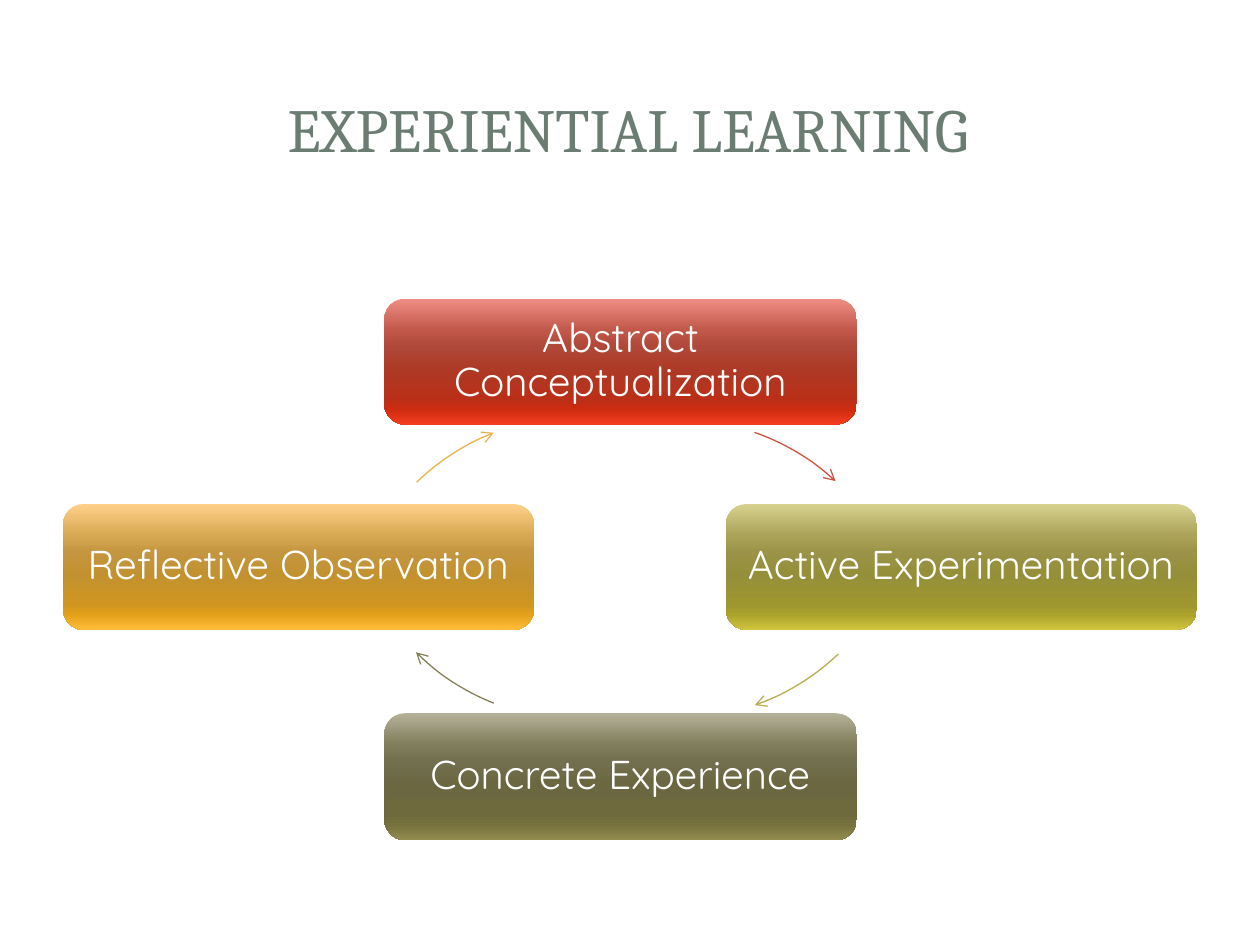
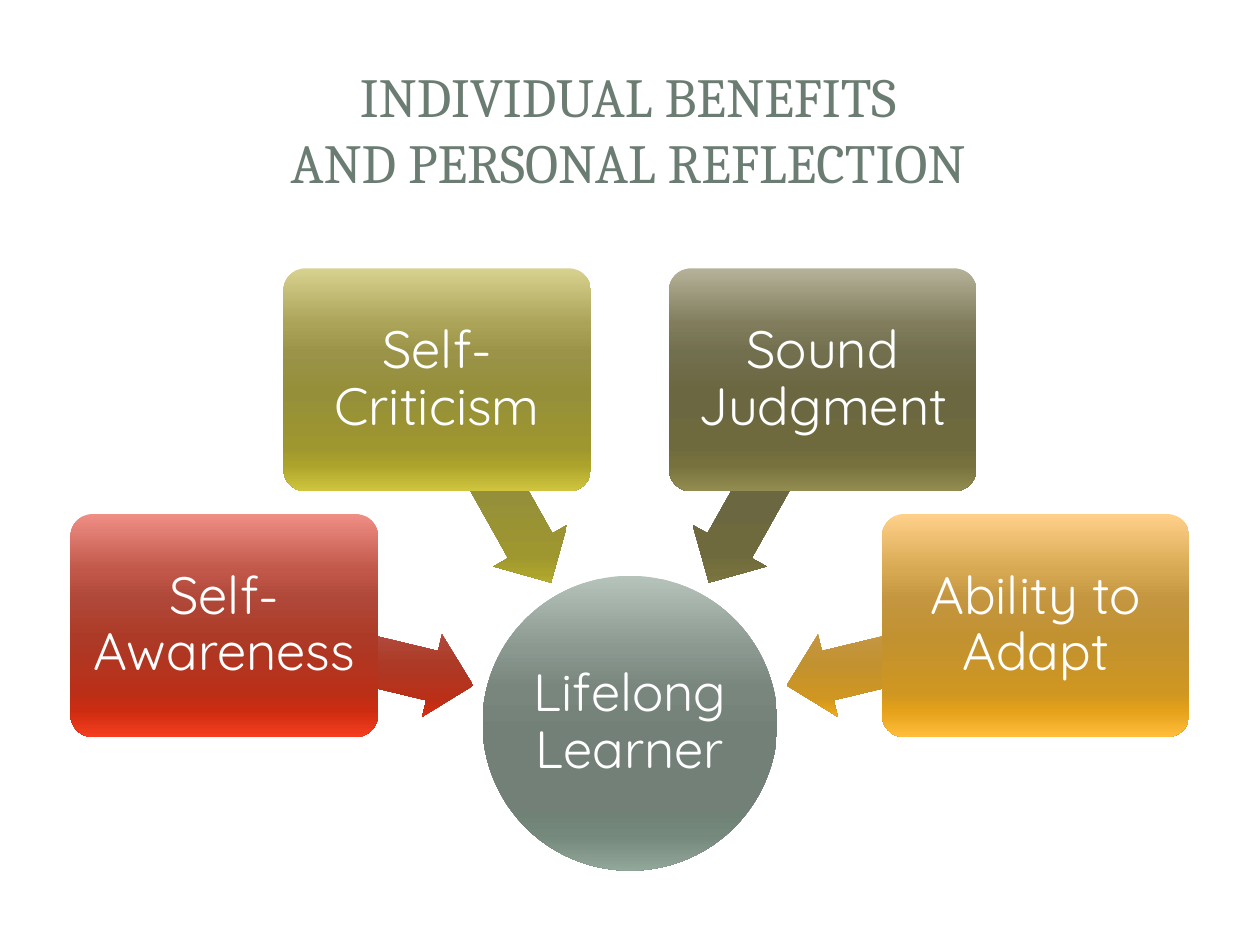
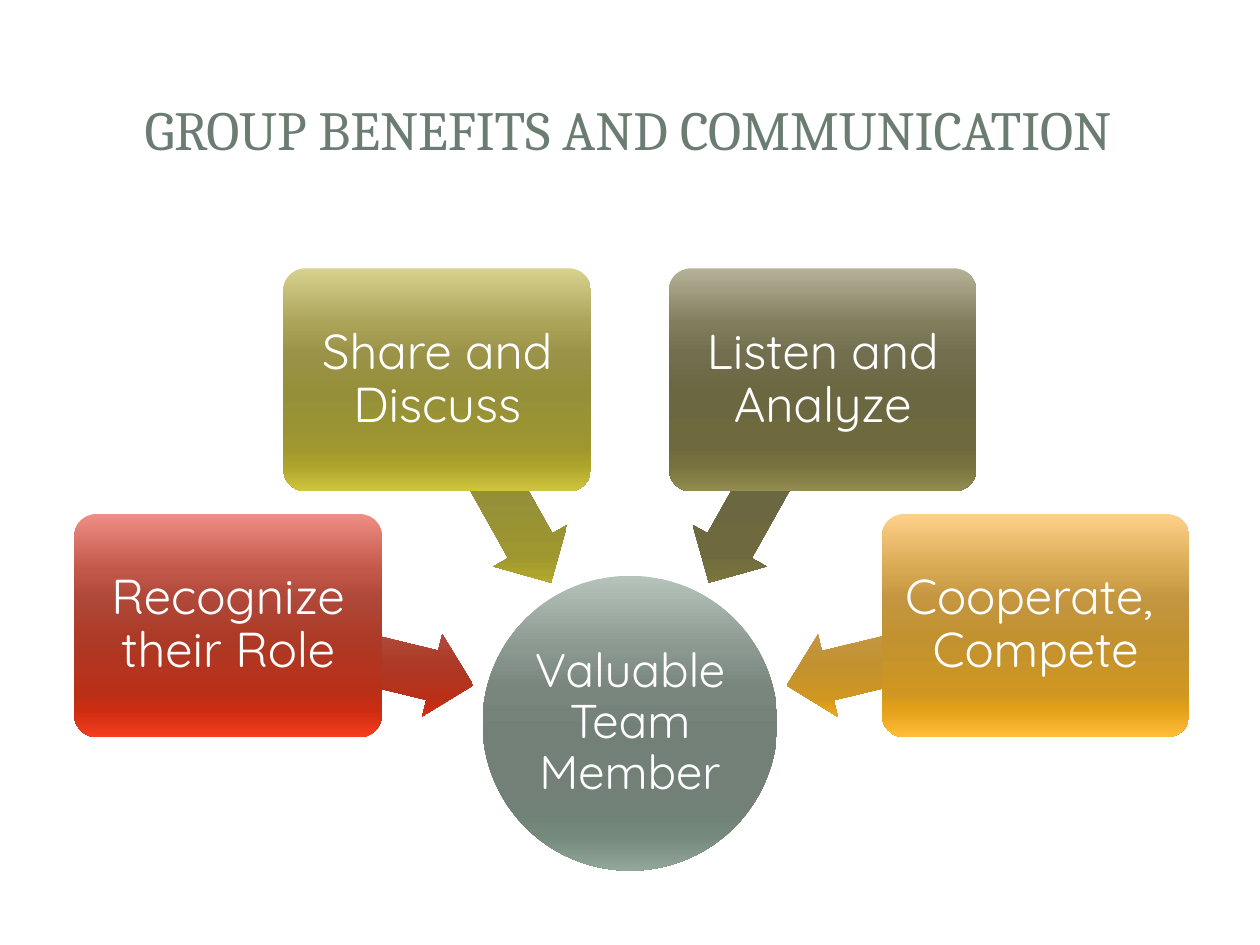
from math import atan2, degrees, hypot

from lxml.etree import SubElement
from pptx import Presentation
from pptx.dml.color import RGBColor
from pptx.enum.shapes import MSO_SHAPE
from pptx.enum.text import MSO_ANCHOR, PP_ALIGN
from pptx.oxml.ns import qn
from pptx.util import Inches, Pt

# Shared look
SLIDE_WIDTH, SLIDE_HEIGHT = 10, 7.5
TITLE_FONT, BODY_FONT = "Cambria", "Quicksand"
TITLE_AREA = (0.47, 0.45, 9.03, 1.14)
WHITE = RGBColor(0xFF, 0xFF, 0xFF)
TITLE_GREEN = RGBColor(0x6B, 0x7D, 0x72)
RED_LINE = RGBColor(0xCF, 0x54, 0x3F)
OLIVE_LINE = RGBColor(0xB5, 0xAE, 0x53)
BROWN_LINE = RGBColor(0x84, 0x80, 0x58)
GOLD_LINE = RGBColor(0xE8, 0xB5, 0x4D)

# White page panel and title bands: kind, area, opacity in percent, adjustments
PANELS = [
    (MSO_SHAPE.ROUNDED_RECTANGLE, (0.1, 0.11, 9.8, 7.29), 100, (0.02,)),
    (MSO_SHAPE.RECTANGLE, (0.3, 0.3, 9.4, 1.45), 83, ()),
    (MSO_SHAPE.RECTANGLE, (0.41, 0.41, 9.17, 1.22), 100, ()),
]

# Glossy gradients: one colour for each stop, top to bottom
GLOSS_STOPS = (0, 25, 38, 55, 80, 88, 100)
RED = "EF8E85 C1584A B04839 AD3A26 BA2F18 CD2C10 F63D1F".split()
OLIVE = "D8D290 AAA358 9A9348 958F39 9E962F ACA32C D0C53D".split()
BROWN = "B5B299 807C5C 726F4F 6B6741 6E6A3D 77723D 928C50".split()
GOLD = "FFD08A D7A952 C49640 C29230 CF9621 E4A119 FFBD3B".split()
SAGE = "B6C3BB 8B9890 79867E 728078 708176 75887C 91A79A".split()

# Learning cycle: label, gradient, box area
CYCLE_TITLE = "EXPERIENTIAL LEARNING"
CYCLE_STEPS = [
    ("Abstract Conceptualization", RED, (3.05, 2.37, 3.75, 1)),
    ("Active Experimentation", OLIVE, (5.76, 4, 3.74, 1)),
    ("Concrete Experience", BROWN, (3.05, 5.66, 3.75, 1.01)),
    ("Reflective Observation", GOLD, (0.5, 4, 3.74, 1)),
]
# Arcs: line colour, corner of the circle, start and end in degrees clockwise from the right
ARC_SIZE = 3.67
CYCLE_ARCS = [
    (RED_LINE, (3.55, 3.33), 289.2, 312.8),
    (OLIVE_LINE, (3.55, 2.03), 46.3, 70.7),
    (BROWN_LINE, (2.76, 2.04), 111.6, 134.8),
    (GOLD_LINE, (2.75, 3.31), 225.9, 248.7),
]

# Benefit slides: four boxes point at one hub
BENEFITS = [
    {
        "title": "INDIVIDUAL BENEFITS\vAND PERSONAL REFLECTION",
        "hub": "Lifelong Learner", "hub_size": 30, "box_size": 30, "first_left": 0.56,
        "labels": ["Self-Awareness", "Self-Criticism", "Sound Judgment", "Ability to Adapt"],
    },
    {
        "title": "GROUP BENEFITS AND COMMUNICATION",
        "hub": "Valuable Team Member", "hub_size": 27, "box_size": 28, "first_left": 0.59,
        "labels": ["Recognize their Role", "Share and Discuss", "Listen and Analyze",
                   "Cooperate,  Compete"],
    },
]
BOX_WIDTH, BOX_HEIGHT = 2.44, 1.77
UPPER_TOP, LOWER_TOP = 2.13, 4.08
HUB_CENTER, HUB_SIZE = (5, 5.74), 2.34
ARROW_HEIGHT, ARROW_GAP = 0.67, 0.11


def write_text(shape, text, size, font=BODY_FONT, color=WHITE, spacing=0.9, insets=(0.1, 0.1)):
    frame = shape.text_frame
    horizontal, vertical = map(Inches, insets)
    frame_format = {
        "word_wrap": True, "vertical_anchor": MSO_ANCHOR.MIDDLE,
        "margin_left": horizontal, "margin_right": horizontal,
        "margin_top": vertical, "margin_bottom": vertical,
    }
    for name, value in frame_format.items():
        setattr(frame, name, value)
    paragraph = frame.paragraphs[0]
    paragraph.text = text
    paragraph.alignment = PP_ALIGN.CENTER
    paragraph.line_spacing = spacing
    for run in paragraph.runs:
        for name, value in {"name": font, "size": Pt(size)}.items():
            setattr(run.font, name, value)
        run.font.color.rgb = color


def add_plain_shape(slide, kind, area, adjustments=()):
    shape = slide.shapes.add_shape(kind, *map(Inches, area))
    shape.shadow.inherit = False
    shape.line.fill.background()
    for index, value in enumerate(adjustments):
        shape.adjustments[index] = value
    return shape


def add_titled_slide(presentation, title, size):
    slide = presentation.slides.add_slide(presentation.slide_layouts[6])
    for kind, area, opacity, adjustments in PANELS:
        panel = add_plain_shape(slide, kind, area, adjustments)
        panel.fill.solid()
        panel.fill.fore_color.rgb = WHITE
        if opacity < 100:
            color = panel.element.spPr.find(qn("a:solidFill")).find(qn("a:srgbClr"))
            SubElement(color, qn("a:alpha"), val=str(opacity * 1000))
    box = slide.shapes.add_textbox(*map(Inches, TITLE_AREA))
    write_text(box, title, size, TITLE_FONT, TITLE_GREEN, 1.0, (0.1, 0.05))
    return slide


def add_glossy_shape(slide, kind, area, gradient, adjustments=()):
    shape = add_plain_shape(slide, kind, area, adjustments)
    shape.fill.gradient()
    shape.fill.gradient_angle = 270
    # The gradient stays upright when the shape turns
    gradient_fill = shape.element.spPr.find(qn("a:gradFill"))
    gradient_fill.set("rotWithShape", "0")
    stops = gradient_fill.find(qn("a:gsLst"))
    for stop in list(stops):
        stops.remove(stop)
    for position, color in zip(GLOSS_STOPS, gradient):
        stop = SubElement(stops, qn("a:gs"), pos=str(position * 1000))
        SubElement(stop, qn("a:srgbClr"), val=color)
    return shape


def add_arc_arrow(slide, color, corner, start, end):
    # Arc adjustments count 0.6 for each degree
    area = (*corner, ARC_SIZE, ARC_SIZE)
    arc = add_plain_shape(slide, MSO_SHAPE.ARC, area, (start * 0.6, end * 0.6))
    arc.fill.background()
    arc.line.color.rgb = color
    arc.line.width = Pt(0.75)
    line = arc.element.spPr.find(qn("a:ln"))
    SubElement(line, qn("a:tailEnd"), type="arrow")


def add_hub_arrow(slide, box_center, gradient):
    across, down = (hub - box for hub, box in zip(HUB_CENTER, box_center))
    distance = hypot(across, down)
    length = distance - HUB_SIZE / 2 - ARROW_GAP
    share = length / distance / 2
    middle_x, middle_y = box_center[0] + across * share, box_center[1] + down * share
    area = (middle_x - length / 2, middle_y - ARROW_HEIGHT / 2, length, ARROW_HEIGHT)
    arrow = add_glossy_shape(slide, MSO_SHAPE.LEFT_ARROW, area, gradient, (0.6, 0.5))
    arrow.rotation = degrees(atan2(down, across)) + 180


def build_cycle(presentation):
    slide = add_titled_slide(presentation, CYCLE_TITLE, 35)
    for (label, gradient, area), arc in zip(CYCLE_STEPS, CYCLE_ARCS):
        box = add_glossy_shape(slide, MSO_SHAPE.ROUNDED_RECTANGLE, area, gradient)
        write_text(box, label, 23)
        add_arc_arrow(slide, *arc)


def build_benefits(presentation, content):
    slide = add_titled_slide(presentation, content["title"], 31.5)
    hub_area = (*(middle - HUB_SIZE / 2 for middle in HUB_CENTER), HUB_SIZE, HUB_SIZE)
    hub = add_glossy_shape(slide, MSO_SHAPE.OVAL, hub_area, SAGE)
    write_text(hub, content["hub"], content["hub_size"], insets=(0.02, 0.02))
    # Boxes stand in an arch around the hub
    corners = [(content["first_left"], LOWER_TOP), (2.25, UPPER_TOP),
               (5.31, UPPER_TOP), (7, LOWER_TOP)]
    gradients = (RED, OLIVE, BROWN, GOLD)
    for label, gradient, (left, top) in zip(content["labels"], gradients, corners):
        add_hub_arrow(slide, (left + BOX_WIDTH / 2, top + BOX_HEIGHT / 2), gradient)
        area = (left, top, BOX_WIDTH, BOX_HEIGHT)
        box = add_glossy_shape(slide, MSO_SHAPE.ROUNDED_RECTANGLE, area, gradient, (0.1,))
        write_text(box, label, content["box_size"], insets=(0.06, 0.06))


def main():
    presentation = Presentation()
    presentation.slide_width = Inches(SLIDE_WIDTH)
    presentation.slide_height = Inches(SLIDE_HEIGHT)
    build_cycle(presentation)
    for content in BENEFITS:
        build_benefits(presentation, content)
    presentation.save("out.pptx")


if __name__ == "__main__":
    main()
